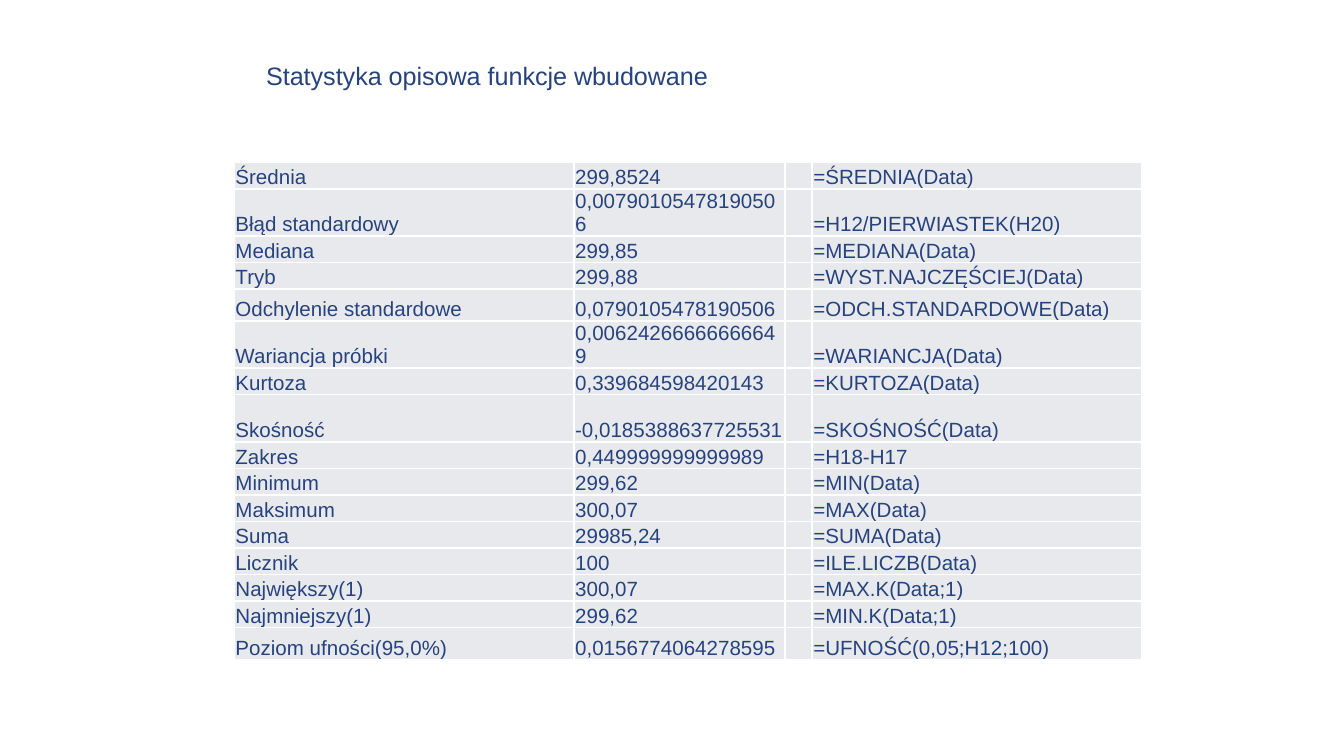
import pptx
import pptx.util
import pptx.dml.color
import pptx.enum.text
import lxml.etree
import pptx.oxml.ns

Cm = pptx.util.Cm
Pt = pptx.util.Pt
qn = pptx.oxml.ns.qn

HEX = {"ink": "26437E", "cell": "E8E9EC", "rule": "FFFFFF"}

# Row heights and column widths in cm
LOW, MID, HIGH = 0.46, 0.61, 0.9
COLS = [6.42, 3.99, 0.51, 6.23]

# Name, value, formula, row height
STATS = [
    ("Średnia", "299,8524", "=ŚREDNIA(Data)", LOW),
    ("Błąd standardowy", "0,00790105478190506", "=H12/PIERWIASTEK(H20)", MID),
    ("Mediana", "299,85", "=MEDIANA(Data)", LOW),
    ("Tryb", "299,88", "=WYST.NAJCZĘŚCIEJ(Data)", LOW),
    ("Odchylenie standardowe", "0,0790105478190506", "=ODCH.STANDARDOWE(Data)", MID),
    ("Wariancja próbki", "0,00624266666666649", "=WARIANCJA(Data)", MID),
    ("Kurtoza", "0,339684598420143", "=KURTOZA(Data)", LOW),
    ("Skośność", "-0,0185388637725531", "=SKOŚNOŚĆ(Data)", HIGH),
    ("Zakres", "0,449999999999989", "=H18-H17", LOW),
    ("Minimum", "299,62", "=MIN(Data)", LOW),
    ("Maksimum", "300,07", "=MAX(Data)", LOW),
    ("Suma", "29985,24", "=SUMA(Data)", LOW),
    ("Licznik", "100", "=ILE.LICZB(Data)", LOW),
    ("Największy(1)", "300,07", "=MAX.K(Data;1)", LOW),
    ("Najmniejszy(1)", "299,62", "=MIN.K(Data;1)", LOW),
    ("Poziom ufności(95,0%)", "0,0156774064278595", "=UFNOŚĆ(0,05;H12;100)", MID),
]


def color(name):
    return pptx.dml.color.RGBColor.from_string(HEX[name])


class Page:
    def __init__(self, slide, face="Arial"):
        self.slide = slide
        self.face = face

    def style(self, font, size):
        font.name = self.face
        font.size = Pt(size)
        font.color.rgb = color("ink")

    def text(self, words, left, top, width, height, size):
        box = self.slide.shapes.add_textbox(Cm(left), Cm(top), Cm(width), Cm(height))
        frame = box.text_frame
        frame.word_wrap = True
        frame.auto_size = pptx.enum.text.MSO_AUTO_SIZE.SHAPE_TO_FIT_TEXT
        frame.text = words
        self.style(frame.paragraphs[0].font, size)

    def edge(self, cell):
        # Border lines come before the fill in the cell properties
        props = cell._tc.get_or_add_tcPr()
        for spot, side in enumerate(("lnL", "lnR", "lnT", "lnB")):
            line = lxml.etree.Element(qn("a:" + side), w=str(Pt(1)))
            fill = lxml.etree.SubElement(line, qn("a:solidFill"))
            lxml.etree.SubElement(fill, qn("a:srgbClr"), val=HEX["rule"])
            props.insert(spot, line)

    def cell(self, cell, words, size):
        cell.margin_left = cell.margin_right = cell.margin_top = Cm(0.02)
        cell.margin_bottom = 0
        cell.vertical_anchor = pptx.enum.text.MSO_ANCHOR.BOTTOM
        cell.fill.solid()
        cell.fill.fore_color.rgb = color("cell")
        self.edge(cell)
        para = cell.text_frame.paragraphs[0]
        if words:
            # Table text takes its font from the run
            run = para.add_run()
            run.text = words
            self.style(run.font, size)
        else:
            # Keeps an empty cell from stretching its row
            lxml.etree.SubElement(para._p, qn("a:endParaRPr"), sz=str(size * 100))

    def table(self, rows, tall, cols, left, top, size):
        frame = self.slide.shapes.add_table(
            len(rows), len(cols), Cm(left), Cm(top), Cm(sum(cols)), Cm(sum(tall)))
        grid = frame.table
        grid.first_row = grid.horz_banding = False
        for col, width in zip(grid.columns, cols):
            col.width = Cm(width)
        for row, height, items in zip(grid.rows, tall, rows):
            row.height = Cm(height)
            for cell, words in zip(row.cells, items):
                self.cell(cell, words, size)


def main():
    deck = pptx.Presentation()
    deck.slide_width, deck.slide_height = Cm(25.4), Cm(14.28)
    page = Page(deck.slides.add_slide(deck.slide_layouts[6]))

    # Statistics table, with a narrow empty column before the formulas
    rows = [(name, value, "", rule) for name, value, rule, _ in STATS]
    tall = [stat[-1] for stat in STATS]
    page.table(rows, tall, COLS, 4.43, 3.07, 11)

    # Title
    page.text("Statystyka opisowa funkcje wbudowane", 4.78, 1.02, 9.7, 0.84, 13.5)

    deck.save("out.pptx")


if __name__ == "__main__":
    main()
